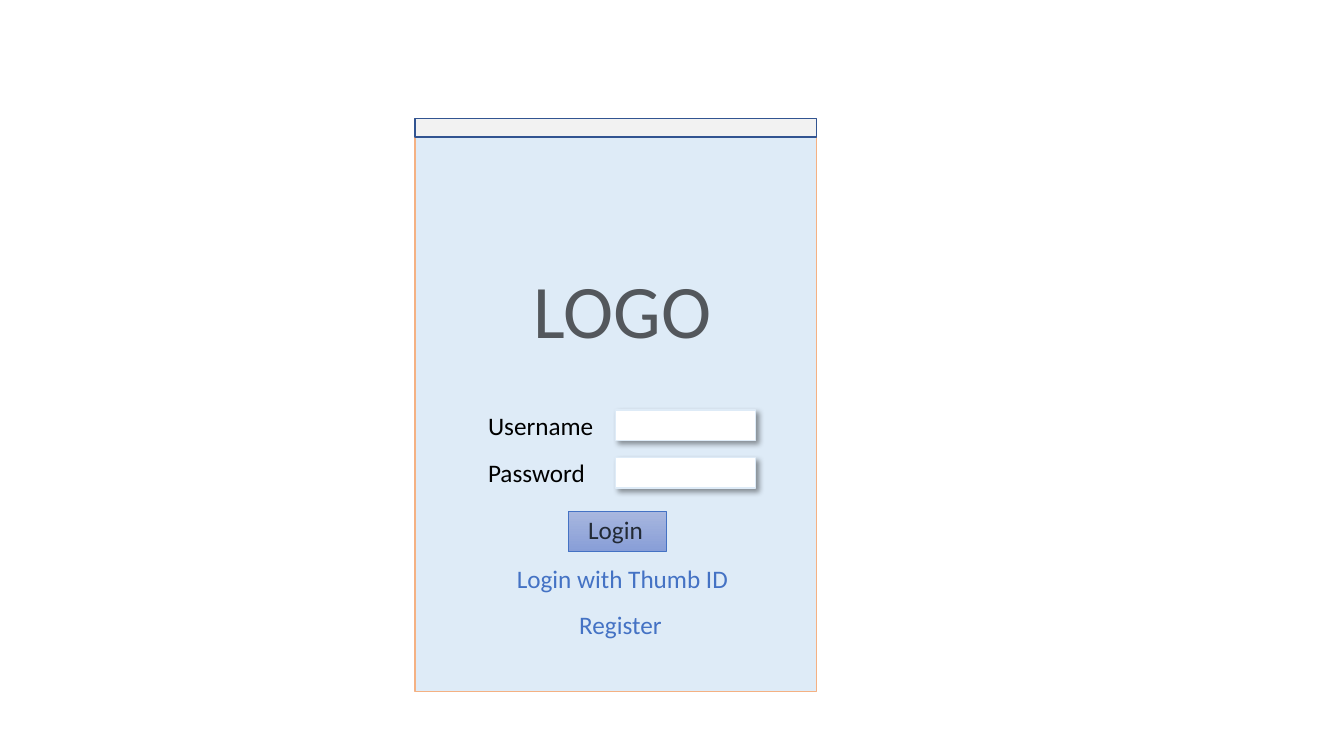
from pptx import Presentation
from pptx.dml.color import RGBColor
from pptx.enum.shapes import MSO_SHAPE
from pptx.enum.text import PP_ALIGN
from pptx.oxml import parse_xml
from pptx.oxml.ns import nsdecls, qn
from pptx.util import Pt

RECT = MSO_SHAPE.RECTANGLE
LEFT, CENTER = PP_ALIGN.LEFT, PP_ALIGN.CENTER

BLACK = RGBColor(0x00, 0x00, 0x00)
WHITE = RGBColor(0xFF, 0xFF, 0xFF)
PALE_BLUE = RGBColor(0xDE, 0xEB, 0xF7)
ORANGE = RGBColor(0xF4, 0xB1, 0x83)
GRAY = RGBColor(0xF2, 0xF2, 0xF2)
NAVY = RGBColor(0x32, 0x54, 0x91)
BLUE = RGBColor(0x44, 0x72, 0xC4)
BUTTON_TOP = RGBColor(0xA8, 0xB7, 0xDF)
BUTTON_BOTTOM = RGBColor(0x88, 0x9E, 0xD7)
SLATE = RGBColor(0x53, 0x57, 0x5C)
INK = RGBColor(0x22, 0x2A, 0x35)

SHADOW = (
    f'<a:outerShdw {nsdecls("a")} blurRad="50800" dist="38100" dir="2700000" '
    'algn="tl" rotWithShape="0"><a:srgbClr val="000000">'
    '<a:alpha val="40000"/></a:srgbClr></a:outerShdw>'
)

prs = Presentation()
prs.slide_width, prs.slide_height = Pt(960), Pt(540)
s = prs.slides.add_slide(prs.slide_layouts[6])


def add_rect(x, y, w, h, fill, line, weight=1):
    sp = s.shapes.add_shape(RECT, Pt(x), Pt(y), Pt(w), Pt(h))
    sp.shadow.inherit = False
    sp.fill.solid()
    sp.fill.fore_color.rgb = fill
    sp.line.color.rgb = line
    sp.line.width = Pt(weight)
    return sp


def add_text(text, x, y, w, h=29, size=18, color=BLACK, align=CENTER, wrap=False):
    sp = s.shapes.add_textbox(Pt(x), Pt(y), Pt(w), Pt(h))
    tf = sp.text_frame
    tf.word_wrap = wrap
    p = tf.paragraphs[0]
    p.alignment = align
    r = p.add_run()
    r.text = text
    r.font.name = "Calibri"
    r.font.size = Pt(size)
    r.font.color.rgb = color


panel_x, panel_y, panel_w = 296.4, 84.8, 286.8
add_rect(panel_x, panel_y, panel_w, 409, PALE_BLUE, ORANGE)
add_text("LOGO", 327.6, 184.3, 234, h=72.7, size=54, color=SLATE, wrap=True)

for i, label in enumerate(["Username", "Password"]):
    y = 289.4 + i * 33.9
    add_text(label, 341.5, y, 92.2, align=LEFT, wrap=True)
    field = add_rect(439.7, y + 3.6, 100.1, 21.6, WHITE, PALE_BLUE)
    field._element.spPr.find(qn("a:effectLst")).append(parse_xml(SHADOW))

add_text("Login with Thumb ID", 344.6, 398.9, 200, color=BLUE)
add_text("Register", 406.1, 431.5, 74.2, color=BLUE)

add_rect(panel_x, panel_y, panel_w, 13, GRAY, NAVY)

button = add_rect(406.1, 365, 69.8, 29, BUTTON_TOP, BLUE, weight=0.5)
button.fill.gradient()
button.fill.gradient_angle = 270
for stop, color in zip(button.fill.gradient_stops, [BUTTON_TOP, BUTTON_BOTTOM]):
    stop.color.rgb = color
add_text("Login", 412.6, 364, 54, color=INK)

prs.save("out.pptx")
